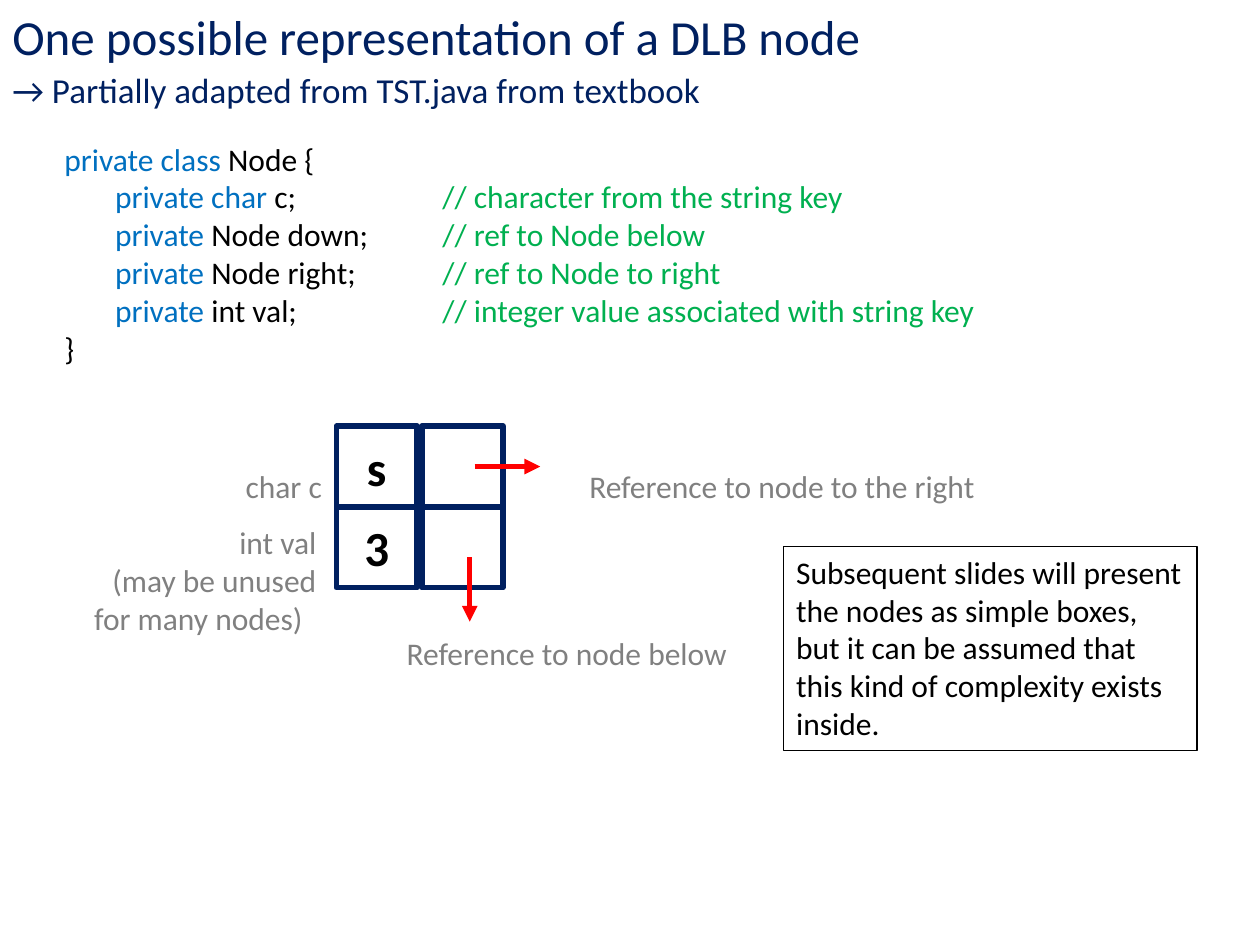
from itertools import product
from lxml import etree
from pptx import Presentation
from pptx.dml.color import RGBColor
from pptx.enum.shapes import MSO_CONNECTOR as CONN, MSO_SHAPE as SHAPE
from pptx.enum.text import MSO_ANCHOR as ANCHOR, PP_ALIGN as ALIGN
from pptx.oxml.ns import qn
from pptx.util import Cm, Pt

NAVY = RGBColor(0x00, 0x20, 0x60)
BLUE = RGBColor(0x00, 0x70, 0xC0)
GREEN = RGBColor(0x00, 0xB0, 0x50)
GRAY = RGBColor(0x80, 0x80, 0x80)
RED = RGBColor(0xFF, 0x00, 0x00)
BLACK = RGBColor(0x00, 0x00, 0x00)
FONT = "Calibri"

# keyword, rest of the declaration, comment
FIELDS = [
    ("private char", " c;", "// character from the string key"),
    ("private", " Node down;", "// ref to Node below"),
    ("private", " Node right;", "// ref to Node to right"),
    ("private", " int val;", "// integer value associated with string key"),
]


def style(p, size, color=None, bold=False, align=ALIGN.LEFT):
    p.alignment = align
    p.font.name, p.font.size, p.font.bold = FONT, Pt(size), bold
    if color is not None:
        p.font.color.rgb = color


def add_text(s, x, y, w, h, text, size=18, color=GRAY, align=ALIGN.LEFT):
    tf = s.shapes.add_textbox(Cm(x), Cm(y), Cm(w), Cm(h)).text_frame
    tf.word_wrap = True
    tf.text = text
    for p in tf.paragraphs:
        style(p, size, color, align=align)
    return tf


def add_box(s, x, y, w, h, line, width):
    sp = s.shapes.add_shape(SHAPE.RECTANGLE, Cm(x), Cm(y), Cm(w), Cm(h))
    sp.shadow.inherit = False
    sp.fill.background()
    sp.line.color.rgb = line
    sp.line.width = Pt(width)
    return sp


def add_arrow(s, x1, y1, x2, y2):
    cx = s.shapes.add_connector(CONN.STRAIGHT, Cm(x1), Cm(y1), Cm(x2), Cm(y2))
    cx.line.color.rgb = RED
    cx.line.width = Pt(3)
    etree.SubElement(cx.line._get_or_add_ln(), qn("a:tailEnd"), type="triangle")
    etree.SubElement(cx._element.spPr, qn("a:effectLst"))


def add_heading(s, x, y, w):
    add_text(s, x, y, w, 1.45, "One possible representation of a DLB node", 28, NAVY)
    add_text(s, x, y + 1.25, w, 1.11,
             "→ Partially adapted from TST.java from textbook", 20, NAVY)


def add_code(s, x, y, w, h):
    tf = s.shapes.add_textbox(Cm(x), Cm(y), Cm(w), Cm(h)).text_frame
    tf.word_wrap = True
    lines = [[("private class", BLUE), (" Node {", BLACK)]]
    for keyword, rest, comment in FIELDS:
        lines.append([("\t" + keyword, BLUE), (rest + "\t", BLACK), (comment, GREEN)])
    lines.append([("}", BLACK)])
    for i, line in enumerate(lines):
        p = tf.paragraphs[0] if i == 0 else tf.add_paragraph()
        style(p, 18)
        # Tab stops: member indent and comment column
        tabs = etree.Element(qn("a:tabLst"))
        for pos in (1.02, 7.62):
            etree.SubElement(tabs, qn("a:tab"), pos=str(Cm(pos)), algn="l")
        p._p.get_or_add_pPr().insert(0, tabs)
        for text, color in line:
            r = p.add_run()
            r.text = text
            r.font.color.rgb = color


def add_node(s, x, y, side=1.63, pitch=1.73):
    # Two by two cells, values in the left column
    cells = product((0, 1), repeat=2)
    for (col, row), text in zip(cells, ("s", "3", "", "")):
        sp = add_box(s, x + col * pitch, y + row * side, side, side, NAVY, 3)
        if text:
            tf = sp.text_frame
            tf.vertical_anchor = ANCHOR.MIDDLE
            tf.text = text
            style(tf.paragraphs[0], 28, BLACK, True, ALIGN.CENTER)
    # References
    add_arrow(s, x + 2.79, y + side / 2, x + 4.11, y + side / 2)
    add_arrow(s, x + 2.69, y + 2.64, x + 2.69, y + 3.94)
    # Labels
    tf = add_text(s, x - 5.87, y + 1.83, 5.72, 2.57,
                  "int val\n(may be unused\nfor many nodes)", align=ALIGN.RIGHT)
    tf.paragraphs[-1]._p.get_or_add_pPr().set("marR", str(Cm(0.28)))
    add_text(s, x - 2.08, y + 0.71, 2.34, 1.02, "char c")
    add_text(s, x + 1.17, y + 4.06, 8.99, 1.02, "Reference to node below")
    add_text(s, x + 4.85, y + 0.71, 8.33, 1.02, "Reference to node to the right")


def add_note(s, x, y, w, h):
    tf = add_box(s, x, y, w, h, BLACK, 0.75).text_frame
    tf.word_wrap = True
    tf.vertical_anchor = ANCHOR.TOP
    tf.text = ("Subsequent slides will present the nodes as simple boxes, but it can "
               "be assumed that this kind of complexity exists inside.")
    style(tf.paragraphs[0], 18, BLACK)


prs = Presentation()
prs.slide_width, prs.slide_height = Cm(25.4), Cm(19.05)
s = prs.slides.add_slide(prs.slide_layouts[6])
add_heading(s, 0, 0, 22.6)
add_code(s, 1.05, 2.69, 20, 4.88)
add_node(s, 6.78, 8.59)
add_note(s, 15.8, 11.02, 8.33, 4.11)
prs.save("out.pptx")
